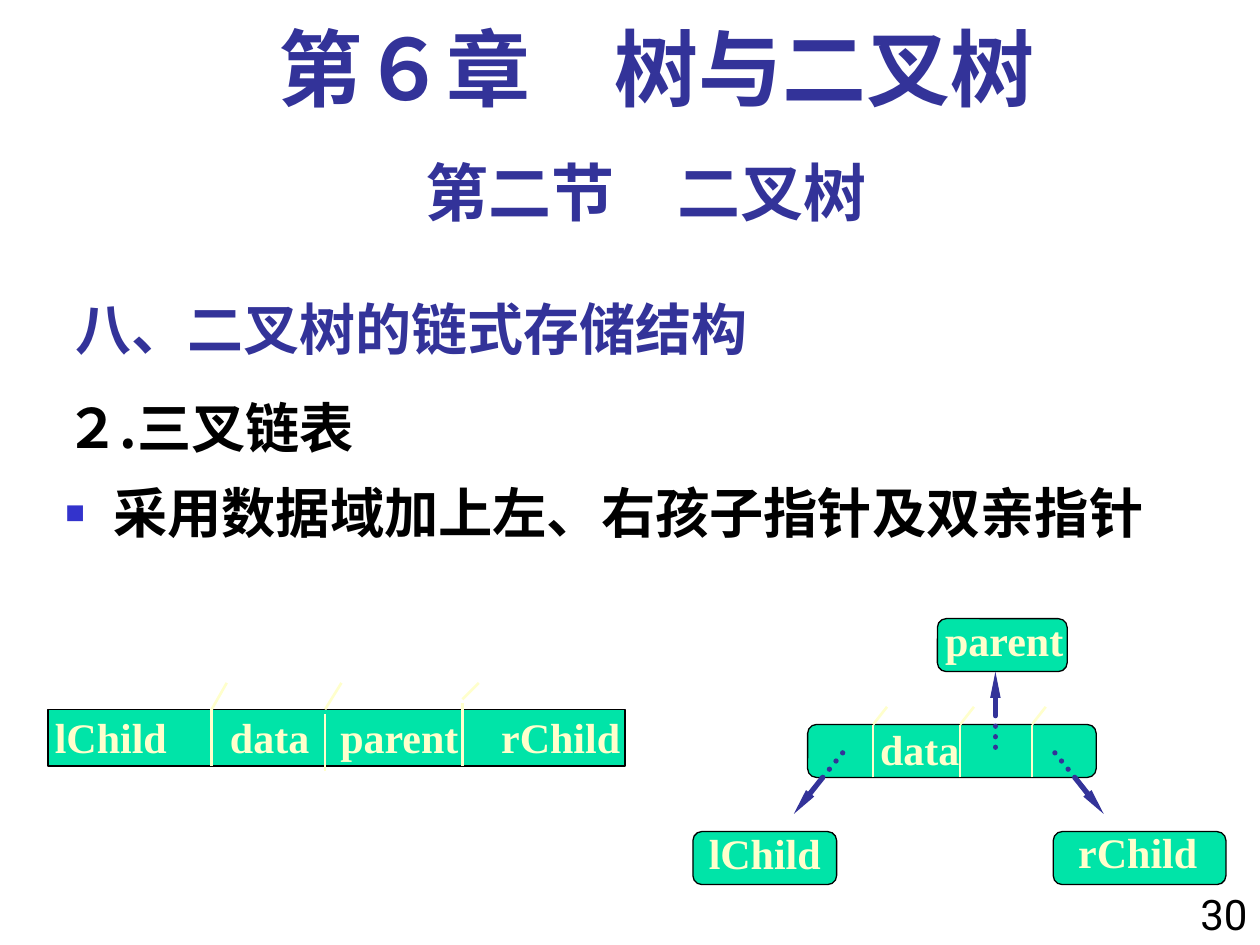
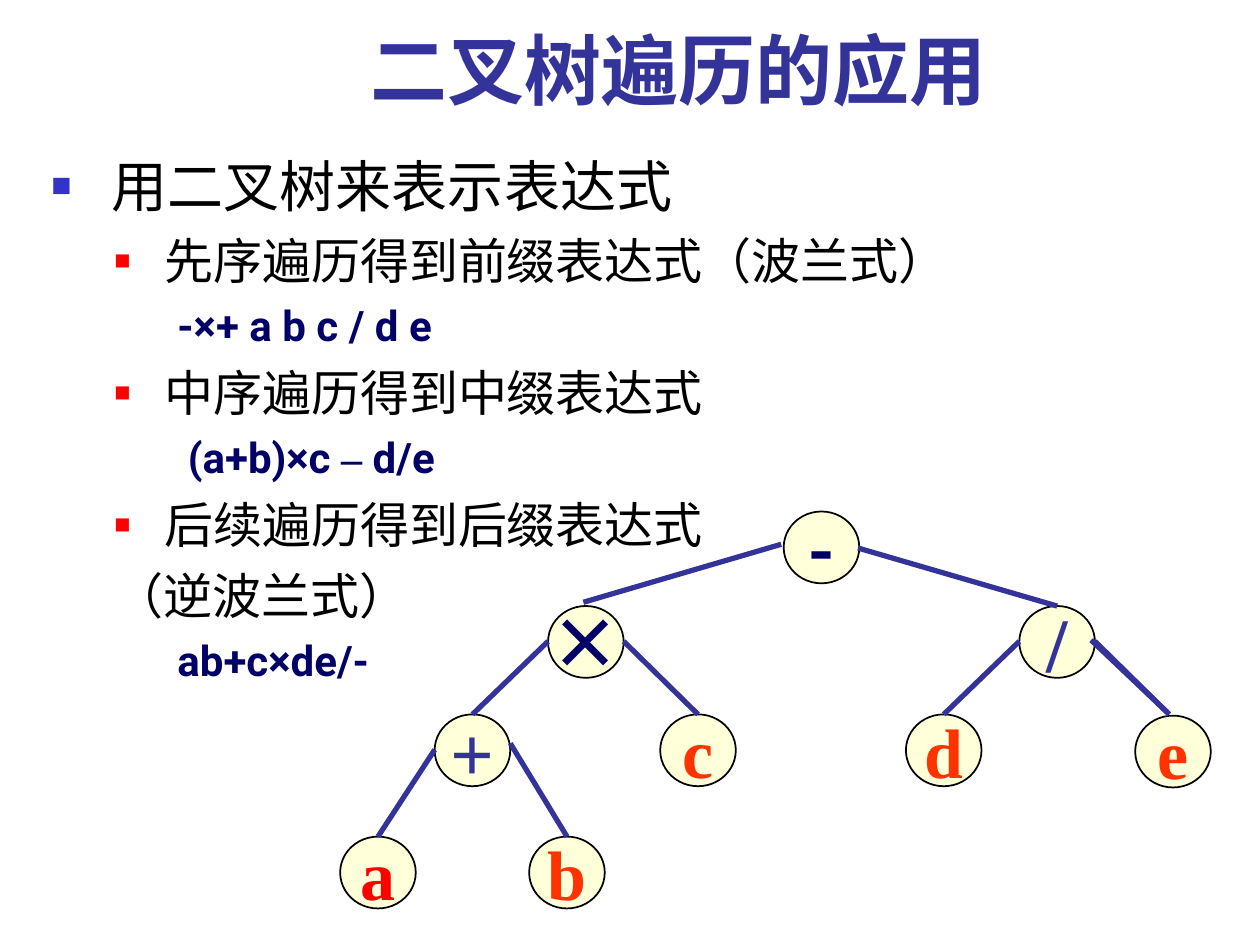
from lxml.etree import SubElement
from pptx import Presentation
from pptx.dml.color import RGBColor
from pptx.enum.dml import MSO_LINE
from pptx.enum.shapes import MSO_CONNECTOR, MSO_SHAPE
from pptx.enum.text import MSO_ANCHOR, PP_ALIGN
from pptx.oxml.ns import qn
from pptx.util import Inches, Pt

INDIGO = RGBColor(0x33, 0x33, 0x99)
NAVY = RGBColor(0x00, 0x00, 0x66)
BLUE = RGBColor(0x33, 0x33, 0xCC)
BLACK = RGBColor(0x00, 0x00, 0x00)
RED = RGBColor(0xFF, 0x00, 0x00)
ORANGE = RGBColor(0xFF, 0x33, 0x00)
GREEN = RGBColor(0x00, 0xE4, 0xA8)
CREAM = RGBColor(0xFF, 0xFF, 0xCC)
IVORY = RGBColor(0xFF, 0xFF, 0xD9)
SANS = "Noto Sans CJK SC"
ROBOTO = "Roboto"
SERIF = "Times New Roman"


def style_paragraph(paragraph, size, color, name=ROBOTO, bold=False):
    """Set the font of a whole paragraph, with one East Asian face."""
    font = paragraph.font
    font.name, font.size, font.bold = name, Pt(size), bold
    font.color.rgb = color
    properties = font._element
    east_asian = SubElement(properties, qn("a:ea"))
    east_asian.set("typeface", SANS)


def add_text_box(slide, left, top, width, height, anchor=MSO_ANCHOR.TOP, wrap=True):
    """Add an empty text box and return its text frame."""
    box = slide.shapes.add_textbox(Inches(left), Inches(top), Inches(width), Inches(height))
    frame = box.text_frame
    frame.word_wrap = wrap
    frame.vertical_anchor = anchor
    return frame


def add_heading(slide, text, area, size, name=ROBOTO, align=PP_ALIGN.CENTER,
                anchor=MSO_ANCHOR.TOP, line_spacing=1.0):
    """Add a bold indigo heading."""
    paragraph = add_text_box(slide, *area, anchor=anchor).paragraphs[0]
    paragraph.text = text
    paragraph.alignment = align
    paragraph.line_spacing = line_spacing
    style_paragraph(paragraph, size, INDIGO, name, bold=True)


def add_body_line(frame, texts, size, color, margin, indent, space=0, level=0,
                  bullet=None, name=ROBOTO, bold=False):
    """Append an indented paragraph, with an optional (colour, percent) bullet."""
    first = not frame.paragraphs[0].runs
    paragraph = frame.paragraphs[0] if first else frame.add_paragraph()
    for text in texts:
        paragraph.add_run().text = text
    paragraph.level = level
    if not first:
        paragraph.space_before = Pt(space)
    properties = paragraph._p.get_or_add_pPr()
    properties.set("marL", str(Inches(margin)))
    properties.set("indent", str(Inches(indent)))
    if bullet:
        color_value, percent = bullet
        bullet_color = SubElement(properties, qn("a:buClr"))
        SubElement(bullet_color, qn("a:srgbClr")).set("val", str(color_value))
        SubElement(properties, qn("a:buSzPct")).set("val", str(percent * 1000))
        SubElement(properties, qn("a:buFont")).set("typeface", SERIF)
        SubElement(properties, qn("a:buChar")).set("char", "■")
    else:
        SubElement(properties, qn("a:buNone"))
    style_paragraph(paragraph, size, color, name, bold)
    return paragraph


def add_block(slide, kind, left, top, width, height, fill, line_width):
    """Add a filled shape with a black outline."""
    shape = slide.shapes.add_shape(kind, Inches(left), Inches(top), Inches(width), Inches(height))
    shape.shadow.inherit = False
    shape.fill.solid()
    shape.fill.fore_color.rgb = fill
    shape.line.color.rgb = BLACK
    shape.line.width = Pt(line_width)
    return shape


def add_label(slide, text, center_x, center_y):
    """Add a cream field name centred on a point."""
    width, height = 1.4, 0.5
    frame = add_text_box(slide, center_x - width / 2, center_y - height / 2, width, height,
                         MSO_ANCHOR.MIDDLE, wrap=False)
    paragraph = frame.paragraphs[0]
    paragraph.text = text
    paragraph.alignment = PP_ALIGN.CENTER
    style_paragraph(paragraph, 24, CREAM, SERIF, bold=True)


def add_line(slide, start, end, color=INDIGO, width=3, arrow=False, dotted=False):
    """Add a straight line, optionally dotted or with an arrowhead at its end."""
    connector = slide.shapes.add_connector(
        MSO_CONNECTOR.STRAIGHT, *(Inches(value) for value in (*start, *end)))
    connector.line.color.rgb = color
    connector.line.width = Pt(width)
    outline = connector.line._get_or_add_ln()
    if dotted:
        connector.line.dash_style = MSO_LINE.ROUND_DOT
        outline.set("cap", "rnd")
    if arrow:
        tail = SubElement(outline, qn("a:tailEnd"))
        for key, value in (("type", "triangle"), ("w", "sm"), ("len", "lg")):
            tail.set(key, value)
    SubElement(connector._element.spPr, qn("a:effectLst"))


def add_divider(slide, x, top, bottom, tick_bottom, tick_top, tick_width):
    """Add a field divider with a slanted tick above it."""
    add_line(slide, (x, bottom), (x, top), CREAM, 1.5)
    add_line(slide, (x, tick_bottom), (x + tick_width, tick_top), CREAM, 1.5)


def add_tree_node(slide, text, left, top, color=ORANGE, name=SERIF, size=40):
    """Add a round tree node."""
    node = add_block(slide, MSO_SHAPE.OVAL, left, top, 0.6, 0.57, IVORY, 1)
    frame = node.text_frame
    frame.word_wrap = False
    frame.vertical_anchor = MSO_ANCHOR.MIDDLE
    paragraph = frame.paragraphs[0]
    paragraph.text = text
    paragraph.alignment = PP_ALIGN.CENTER
    style_paragraph(paragraph, size, color, name, bold=True)


def draw_record(slide):
    """Draw the four-field record of a node."""
    add_block(slide, MSO_SHAPE.RECTANGLE, 0.38, 5.63, 4.58, 0.45, GREEN, 0.75)
    for text, center in (("lChild", 0.88), ("data", 2.14), ("parent", 3.17), ("rChild", 4.45)):
        add_label(slide, text, center, 5.85)
    add_divider(slide, 1.68, 5.63, 6.08, 5.63, 5.42, 0.12)
    add_divider(slide, 2.58, 5.67, 6.12, 5.63, 5.42, 0.13)
    add_divider(slide, 3.67, 5.58, 6.08, 5.55, 5.42, 0.13)


def draw_linked_nodes(slide):
    """Draw a node whose pointers reach its parent and children."""
    for left, top, width in ((7.44, 4.91, 1.03), (6.41, 5.75, 2.29),
                             (8.36, 6.6, 1.37), (5.5, 6.6, 1.14)):
        add_block(slide, MSO_SHAPE.ROUNDED_RECTANGLE, left, top, width, 0.42, GREEN, 0.75)
    for text, x, y in (("parent", 7.97, 5.08), ("data", 7.3, 5.94),
                       ("lChild", 6.07, 6.77), ("rChild", 9.03, 6.76)):
        add_label(slide, text, x, y)
    for x in (6.93, 7.62, 8.19):
        add_divider(slide, x, 5.75, 6.17, 5.75, 5.61, 0.11)
    for origin, middle, target in (((7.9, 5.96), (7.9, 5.68), (7.9, 5.33)),
                                   ((6.7, 5.96), (6.53, 6.17), (6.3, 6.46)),
                                   ((8.36, 5.96), (8.53, 6.17), (8.76, 6.46))):
        add_line(slide, middle, target, arrow=True)
        add_line(slide, middle, origin, dotted=True)


def build_storage_slide(slide):
    """Build the slide on triple-linked storage."""
    add_heading(slide, "八、二叉树的链式存储结构", (0.5, 2.17, 6.25, 0.75), 32, SANS,
                PP_ALIGN.LEFT, MSO_ANCHOR.BOTTOM)
    add_heading(slide, "第二节　二叉树", (0.5, 1.17, 9.25, 0.7), 36)
    add_heading(slide, "第６章　树与二叉树", (0.67, 0.17, 9.08, 0.83), 48, SERIF,
                line_spacing=0.9)
    body = add_text_box(slide, 0.42, 3.08, 9.58, 4.42)
    for text, bullet in (("２.三叉链表", None),
                         ("采用数据域加上左、右孩子指针及双亲指针", (BLUE, 60))):
        add_body_line(body, [text], 31, BLACK, 0.38, -0.38, 11.6, bullet=bullet,
                      name=SANS, bold=True)
    draw_record(slide)
    draw_linked_nodes(slide)
    number = add_text_box(slide, 9.33, 7, 0.67, 0.59).paragraphs[0]
    number.text = "30"
    number.alignment = PP_ALIGN.RIGHT
    style_paragraph(number, 24, BLACK)


def add_traversal(frame, text, bulleted=True):
    """Append a second-level traversal line."""
    add_body_line(frame, [text], 28, BLACK, 0.81, -0.31, 7, 1, (RED, 55) if bulleted else None)


def add_expression(frame, *texts):
    """Append a third-level expression line."""
    return add_body_line(frame, texts, 24, NAVY, 1.25, -0.25, 6, 2, bold=True)


def draw_expression_tree(slide):
    """Draw the expression tree."""
    add_tree_node(slide, "a", 2.7, 6.64, RED)
    for text, left, top in (("b", 4.2, 6.64), ("c", 5.24, 5.67),
                            ("d", 7.19, 5.67), ("e", 9.01, 5.68)):
        add_tree_node(slide, text, left, top)
    for text, left, top in (("-", 6.22, 4.06), ("×", 4.35, 4.81)):
        add_tree_node(slide, text, left, top, NAVY, SANS)
    for text, left, top in (("+", 3.45, 5.67), ("/", 8.09, 4.81)):
        add_tree_node(slide, text, left, top, INDIGO, size=44)
    for start, end in (((6.2, 4.32), (4.63, 4.78)), ((6.81, 4.35), (8.39, 4.81)),
                       ((4.35, 5.09), (3.75, 5.67)), ((4.95, 5.09), (5.54, 5.67)),
                       ((3.45, 5.95), (3, 6.64)), ((4.05, 5.9), (4.5, 6.64)),
                       ((8.09, 5.09), (7.49, 5.67)), ((8.69, 5.09), (9.28, 5.67)),
                       ((8.66, 5.08), (9.26, 5.65))):
        add_line(slide, start, end)


def build_expression_slide(slide):
    """Build the slide on traversal and expressions."""
    add_heading(slide, "二叉树遍历的应用", (1.08, 0.21, 8.61, 0.75), 44,
                anchor=MSO_ANCHOR.BOTTOM)
    body = add_text_box(slide, 0.31, 1.15, 9.48, 6.1)
    add_body_line(body, [" 用二叉树来表示表达式"], 32, BLACK, 0.38, -0.38, bullet=(BLUE, 60))
    add_traversal(body, " 先序遍历得到前缀表达式（波兰式）")
    add_expression(body, "-×+ a b c / d e")
    add_traversal(body, " 中序遍历得到中缀表达式")
    infix = add_expression(body, " (a+b)×c ", "–", " d/e")
    infix.runs[1].font.name = SERIF
    add_traversal(body, " 后续遍历得到后缀表达式")
    add_traversal(body, "（逆波兰式）", bulleted=False)
    add_expression(body, "ab+c×de/-")
    draw_expression_tree(slide)


def main():
    """Build and save the presentation."""
    presentation = Presentation()
    presentation.slide_width = Inches(10)
    presentation.slide_height = Inches(7.5)
    blank = presentation.slide_layouts[6]
    for build in (build_storage_slide, build_expression_slide):
        build(presentation.slides.add_slide(blank))
    presentation.save("out.pptx")


if __name__ == "__main__":
    main()
